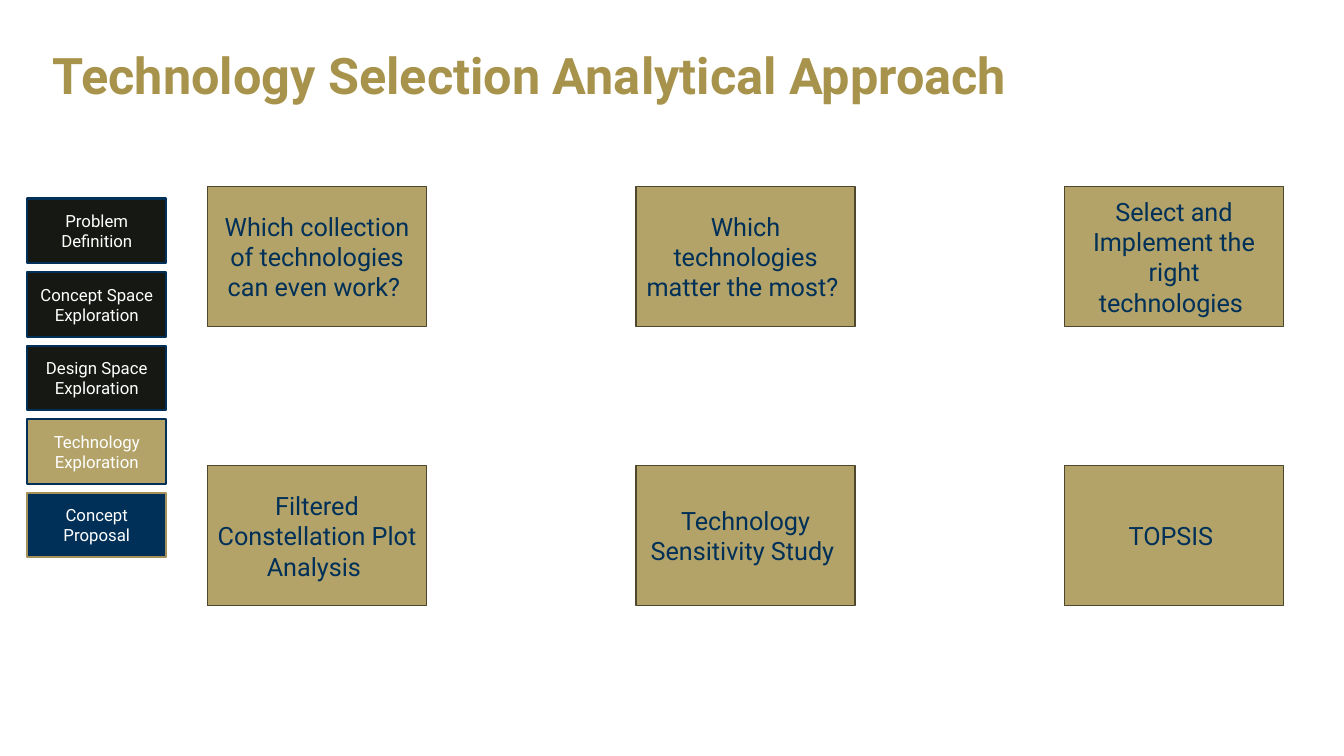
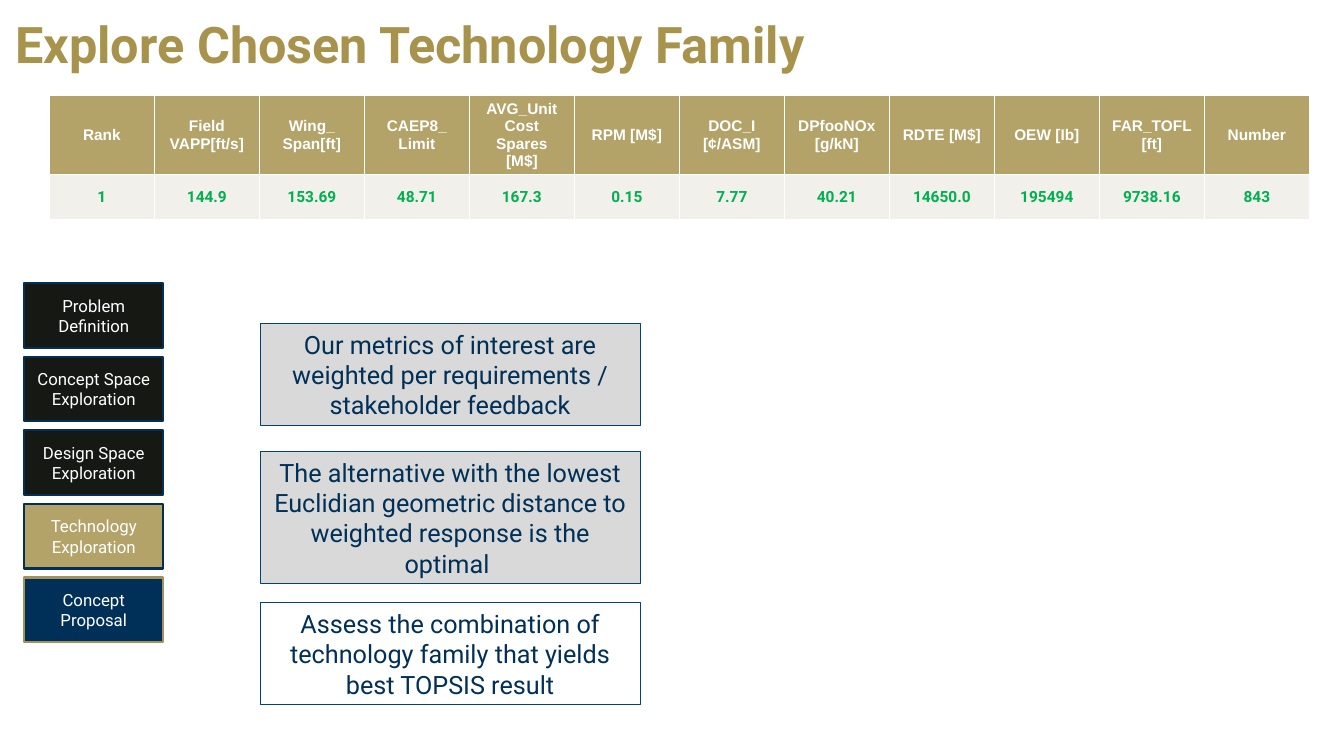
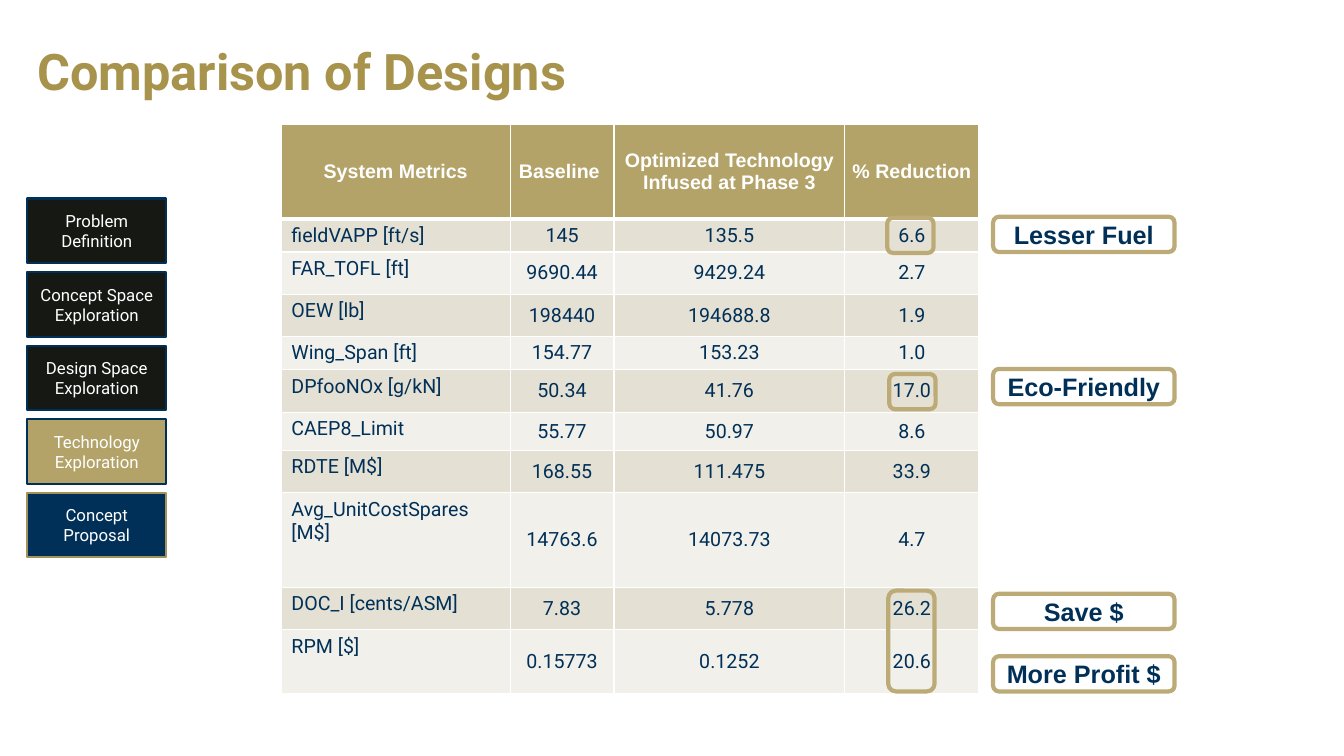
"""Build three slides on technology selection, the chosen family and design comparison."""
import dataclasses

import lxml.etree
import pptx
import pptx.dml.color
import pptx.enum.shapes
import pptx.enum.text
import pptx.oxml.ns
import pptx.util

Inches = pptx.util.Inches
Pt = pptx.util.Pt
Align = pptx.enum.text.PP_ALIGN
Anchor = pptx.enum.text.MSO_ANCHOR
Shape = pptx.enum.shapes.MSO_SHAPE


@dataclasses.dataclass(frozen=True)
class TextStyle:
    """Describe the font of a text."""
    name: str
    size: int
    color: str
    bold: bool = False


@dataclasses.dataclass(frozen=True)
class BoxStyle:
    """Describe the fill, line and text of a box."""
    fill: str | None
    line: str
    width: float
    text: TextStyle | None = None
    kind: int = Shape.RECTANGLE


class Theme:
    """Hold the colours, type sizes and box styles of the presentation."""
    navy, gold, white = "003057", "B3A369", "FFFFFF"
    black, gray, green = "151813", "D9D9D9", "00B050"
    frame_gold = "BCAB77"
    bands = ("E5E0D4", "F2F0EB")

    title = TextStyle("Roboto", 36, "A7934B", True)
    step_text = TextStyle("Roboto", 12, white)
    box_text = TextStyle("Roboto", 18, navy)
    callout_text = TextStyle("Arial", 18, navy, True)
    family_head = TextStyle("Arial", 11, white, True)
    family_value = TextStyle("Roboto", 11, green, True)
    metric_head = TextStyle("Arial", 14, white, True)
    metric_value = TextStyle("Roboto", 14, navy)

    done = BoxStyle(black, navy, 1.5, step_text)
    current = BoxStyle(gold, navy, 1.5, step_text)
    upcoming = BoxStyle(navy, "A4925A", 1.5, step_text)
    approach = BoxStyle(gold, "4E472E", 1, box_text)
    note = BoxStyle(gray, "004376", 0.75, box_text)
    result = BoxStyle(None, "004376", 0.75, box_text)
    highlight = BoxStyle(None, frame_gold, 3, None, Shape.ROUNDED_RECTANGLE)
    callout = BoxStyle(white, frame_gold, 3, callout_text, Shape.ROUNDED_RECTANGLE)


STEPS = [
    ("Problem Definition", Theme.done),
    ("Concept Space Exploration", Theme.done),
    ("Design Space Exploration", Theme.done),
    ("Technology Exploration", Theme.current),
    ("Concept Proposal", Theme.upcoming),
]

APPROACH = [
    ["Which collection of technologies can even work? ",
     "Which technologies matter the most? ",
     "Select and Implement the right technologies "],
    ["Filtered Constellation Plot Analysis ",
     "Technology Sensitivity Study ",
     "TOPSIS "],
]

FAMILY = [
    ["Rank", "Field\nVAPP[ft/s]", "Wing_\nSpan[ft]", "CAEP8_\nLimit",
     "AVG_Unit Cost Spares [M$]", "RPM [M$]", "DOC_I [¢/ASM]", "DPfooNOx\n[g/kN]",
     "RDTE [M$]", "OEW [Ib]", "FAR_TOFL [ft]", "Number"],
    ["1", "144.9", "153.69", "48.71", "167.3", "0.15", "7.77", "40.21",
     "14650.0", "195494", "9738.16", "843"],
]

NOTES = [
    (3.21, 1.01, Theme.note,
     "Our metrics of interest are weighted per requirements / stakeholder feedback"),
    (4.48, 1.31, Theme.note,
     "The alternative with the lowest Euclidian geometric distance to weighted "
     "response is the optimal "),
    (5.98, 1.01, Theme.result,
     "Assess the combination of technology family that yields best TOPSIS result"),
]

METRICS = [
    ["System Metrics", "Baseline ", "Optimized Technology Infused at Phase 3", "% Reduction"],
    ["fieldVAPP [ft/s]", "145", "135.5", "6.6"],
    ["FAR_TOFL [ft]", "9690.44", "9429.24", "2.7"],
    ["OEW [lb]", "198440", "194688.8", "1.9"],
    ["Wing_Span [ft]", "154.77", "153.23", "1.0"],
    ["DPfooNOx [g/kN]", "50.34", "41.76", "17.0"],
    ["CAEP8_Limit", "55.77", "50.97", "8.6"],
    ["RDTE [M$]", "168.55", "111.475", "33.9"],
    ["Avg_UnitCostSpares [M$]", "14763.6", "14073.73", "4.7"],
    ["DOC_I [cents/ASM]", "7.83", "5.778", "26.2"],
    ["RPM [$]", "0.15773", "0.1252", "20.6"],
]
METRIC_HEIGHTS = [0.94, 0.31, 0.42, 0.42, 0.31, 0.42, 0.38, 0.42, 0.94, 0.42, 0.63]

HIGHLIGHTS = [(8.8, 2.16, 0.35), (8.82, 3.71, 0.35), (8.81, 5.86, 1)]
CALLOUTS = [(2.15, "Lesser Fuel"), (3.66, "Eco-Friendly"),
            (5.89, "Save $"), (6.51, "More Profit $")]


def rgb(value):
    """Return the colour object of a hex value."""
    return pptx.dml.color.RGBColor.from_string(value)


def set_format(target, **values):
    """Set several attributes of one object."""
    for name, value in values.items():
        setattr(target, name, value)


def write_text(frame, text, style, alignment=Align.CENTER, line_spacing=None):
    """Write text into a frame in one style."""
    frame.text = text
    for paragraph in frame.paragraphs:
        set_format(paragraph, alignment=alignment, line_spacing=line_spacing)
        for run in paragraph.runs:
            set_format(run.font, name=style.name, size=Pt(style.size), bold=style.bold)
            run.font.color.rgb = rgb(style.color)


def add_titled_slide(presentation, text, left, top, width=12.5, height=1.11):
    """Add a slide with its title in place."""
    slide = presentation.slides.add_slide(presentation.slide_layouts[5])
    title = slide.shapes.title
    set_format(title, left=Inches(left), top=Inches(top),
               width=Inches(width), height=Inches(height))
    set_format(title.text_frame, word_wrap=True, vertical_anchor=Anchor.MIDDLE,
               auto_size=pptx.enum.text.MSO_AUTO_SIZE.NONE)
    write_text(title.text_frame, text, Theme.title, Align.LEFT, 0.9)
    return slide


def add_box(shapes, left, top, width, height, style, text=""):
    """Add a box, with centred text if there is any."""
    box = shapes.add_shape(style.kind, Inches(left), Inches(top), Inches(width), Inches(height))
    box.shadow.inherit = False
    if style.fill:
        box.fill.solid()
        box.fill.fore_color.rgb = rgb(style.fill)
    else:
        box.fill.background()
    box.line.color.rgb = rgb(style.line)
    box.line.width = Pt(style.width)
    if text:
        set_format(box.text_frame, word_wrap=True, vertical_anchor=Anchor.MIDDLE)
        write_text(box.text_frame, text, style.text)


def add_steps(slide, left, top):
    """Add the column of project steps as a group."""
    group = slide.shapes.add_group_shape()
    for index, (text, style) in enumerate(STEPS):
        add_box(group.shapes, left, top + index * 0.73, 1.38, 0.64, style, text)


def set_borders(cell, **widths):
    """Draw white cell borders of the given widths in points."""
    properties = cell._tc.get_or_add_tcPr()
    for side in "LRTB":
        line = lxml.etree.SubElement(properties, pptx.oxml.ns.qn(f"a:ln{side}"),
                                     w=str(Pt(widths.get(side, 1))))
        fill = lxml.etree.SubElement(line, pptx.oxml.ns.qn("a:solidFill"))
        lxml.etree.SubElement(fill, pptx.oxml.ns.qn("a:srgbClr"), val=Theme.white)


def add_table(slide, left, top, widths, heights, rows, head, value, bands, rule=1):
    """Add a table with a gold head row and banded value rows and return it."""
    table = slide.shapes.add_table(len(rows), len(widths), Inches(left), Inches(top),
                                   Inches(sum(widths)), Inches(sum(heights))).table
    for column, width in zip(table.columns, widths):
        column.width = Inches(width)
    for row_index, (row, height, texts) in enumerate(zip(table.rows, heights, rows)):
        row.height = Inches(height)
        fill = bands[(row_index - 1) % len(bands)] if row_index else Theme.gold
        borders = {0: {"B": rule}, 1: {"T": rule}}.get(row_index, {})
        for cell, text in zip(row.cells, texts):
            set_borders(cell, **borders)
            cell.fill.solid()
            cell.fill.fore_color.rgb = rgb(fill)
            cell.vertical_anchor = Anchor.MIDDLE
            write_text(cell.text_frame, text, value if row_index else head)
    return table


def build_approach(presentation):
    """Build the slide on the analytical approach."""
    slide = add_titled_slide(presentation, "Technology Selection Analytical Approach", 0.42, 0.22)
    add_steps(slide, 0.27, 1.97)
    for row, texts in enumerate(APPROACH):
        for column, text in enumerate(texts):
            add_box(slide.shapes, 2.06 + column * 4.25, 1.85 + row * 2.77,
                    2.17, 1.39, Theme.approach, text)


def build_family(presentation):
    """Build the slide on the chosen technology family."""
    slide = add_titled_slide(presentation, "Explore Chosen Technology Family",
                             0.05, 0, 12.44, 0.94)
    add_table(slide, 0.49, 0.95, [12.5 / 12] * 12, [0.78, 0.45], FAMILY,
              Theme.family_head, Theme.family_value, Theme.bands[1:])
    for top, height, style, text in NOTES:
        add_box(slide.shapes, 2.58, top, 3.77, height, style, text)
    add_steps(slide, 0.24, 2.81)


def build_comparison(presentation):
    """Build the slide that compares the designs."""
    slide = add_titled_slide(presentation, "Comparison of Designs", 0.27, 0.18)
    table = add_table(slide, 2.79, 1.23, [2.27, 1.03, 2.29, 1.33], METRIC_HEIGHTS, METRICS,
                      Theme.metric_head, Theme.metric_value, Theme.bands, rule=3)
    for row_index, row in enumerate(table.rows):
        for column_index, cell in enumerate(row.cells):
            if row_index and not column_index:
                cell.vertical_anchor = Anchor.TOP
                cell.text_frame.paragraphs[0].alignment = Align.LEFT
            else:
                set_format(cell, margin_left=0, margin_right=0, margin_top=0, margin_bottom=0)
    add_steps(slide, 0.27, 1.97)
    for left, top, height in HIGHLIGHTS:
        add_box(slide.shapes, left, top, 0.46, height, Theme.highlight)
    for top, text in CALLOUTS:
        add_box(slide.shapes, 9.85, top, 1.8, 0.35, Theme.callout, text)


def main():
    """Build the slides and save the presentation."""
    presentation = pptx.Presentation()
    set_format(presentation, slide_width=Inches(13.33), slide_height=Inches(7.5))
    build_approach(presentation)
    build_family(presentation)
    build_comparison(presentation)
    presentation.save("out.pptx")


if __name__ == "__main__":
    main()
